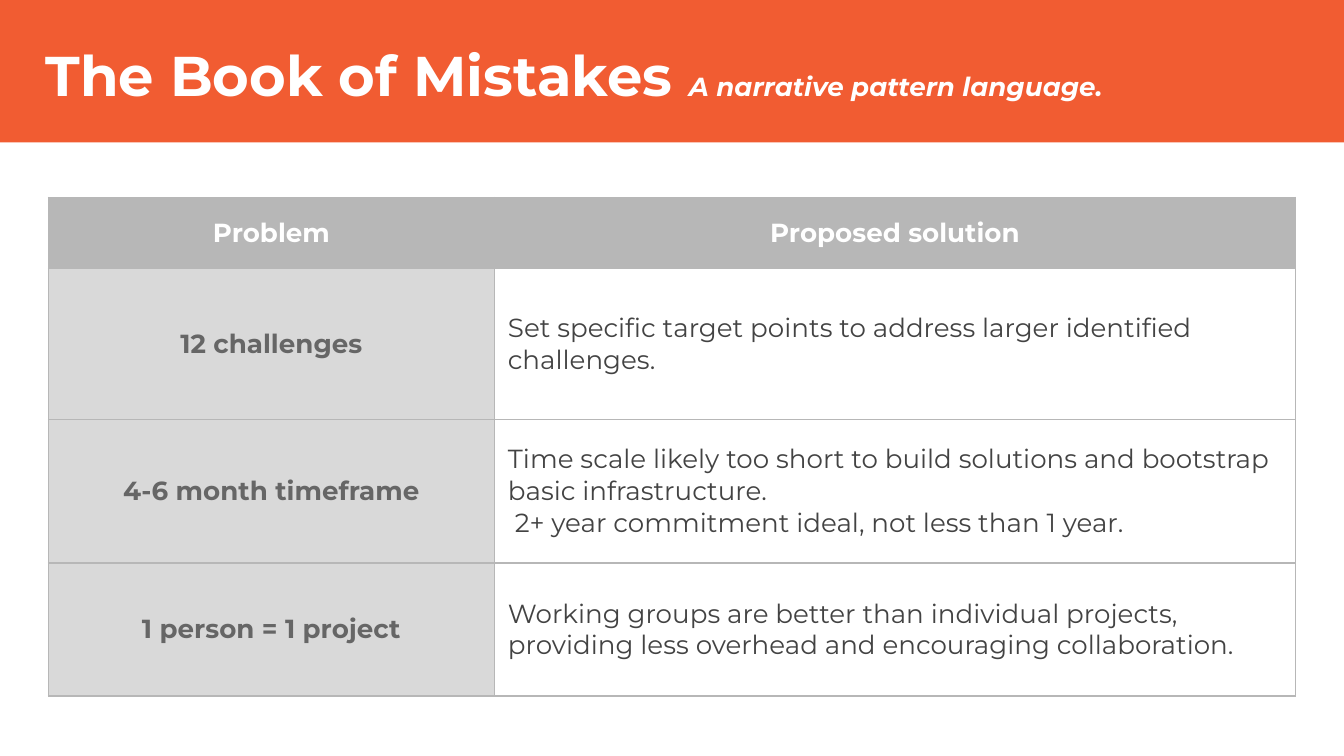
import lxml.etree
import pptx
import pptx.dml.color
import pptx.enum.shapes
import pptx.enum.text
import pptx.oxml.ns
import pptx.util

Inches = pptx.util.Inches
Pt = pptx.util.Pt
ALIGN = pptx.enum.text.PP_ALIGN
ANCHOR = pptx.enum.text.MSO_ANCHOR

SLIDE_WIDTH = 10
SLIDE_HEIGHT = SLIDE_WIDTH * 9 / 16

WHITE = "FFFFFF"
ORANGE = "F15C32"
HEADER_GREY = "B7B7B7"
LABEL_GREY = "D9D9D9"
LABEL_TEXT = "666666"
BODY_TEXT = "434343"

COLUMN_WIDTHS = [3.32, 5.96]
ROW_HEIGHTS = [0.53, 1.12, 1.07, 0.99]
HEADINGS = ["Problem", "Proposed solution"]
# Each solution is a list of lines.
PROBLEMS = [
    ("12 challenges",
     ["Set specific target points to address larger identified challenges."]),
    ("4-6 month timeframe",
     ["Time scale likely too short to build solutions and bootstrap basic infrastructure.",
      " 2+ year commitment ideal, not less than 1 year."]),
    ("1 person = 1 project",
     ["Working groups are better than individual projects, "
      "providing less overhead and encouraging collaboration."]),
]


def rgb(color):
    return pptx.dml.color.RGBColor.from_string(color)


def paint(fill, color):
    fill.solid()
    fill.fore_color.rgb = rgb(color)


class SlideBuilder:
    """Holds the text style and the slide being filled."""

    font = "Montserrat"
    body_size = 14
    inset = Inches(0.1)
    border_width = Pt(0.75)

    def __init__(self, slide):
        self.slide = slide

    def run(self, paragraph, text, color, size=body_size, bold=False, italic=False):
        run = paragraph.add_run()
        run.text = text
        font = run.font
        font.name, font.size = self.font, Pt(size)
        font.bold, font.italic = bold, italic
        font.color.rgb = rgb(color)

    def set_insets(self, target):
        target.margin_left = target.margin_right = self.inset
        target.margin_top = target.margin_bottom = self.inset

    def banner(self, left, top, width, height, color):
        band = self.slide.shapes.add_shape(
            pptx.enum.shapes.MSO_SHAPE.RECTANGLE,
            Inches(left), Inches(top), Inches(width), Inches(height))
        band.shadow.inherit = False
        paint(band.fill, color)
        band.line.fill.background()

    def heading(self, left, top, width, height, title, subtitle):
        frame = self.slide.shapes.add_textbox(
            Inches(left), Inches(top), Inches(width), Inches(height)).text_frame
        frame.word_wrap = True
        frame.vertical_anchor = ANCHOR.BOTTOM
        self.set_insets(frame)
        paragraph = frame.paragraphs[0]
        paragraph.space_before = Pt(6)
        self.run(paragraph, title, WHITE, size=30, bold=True)
        self.run(paragraph, subtitle, WHITE, bold=True, italic=True)

    def table(self, left, top, widths, heights):
        table = self.slide.shapes.add_table(
            len(heights), len(widths), Inches(left), Inches(top),
            Inches(sum(widths)), Inches(sum(heights))).table
        for column, width in zip(table.columns, widths):
            column.width = Inches(width)
        for row, height in zip(table.rows, heights):
            row.height = Inches(height)
        return table

    def border(self, cell, color):
        """Draw all four edges; call before filling, as edges come first in the XML."""
        qn = pptx.oxml.ns.qn
        properties = cell._tc.get_or_add_tcPr()
        for edge in ("a:lnL", "a:lnR", "a:lnT", "a:lnB"):
            line = lxml.etree.SubElement(properties, qn(edge), w=str(self.border_width))
            solid = lxml.etree.SubElement(line, qn("a:solidFill"))
            lxml.etree.SubElement(solid, qn("a:srgbClr"), val=color)

    def cell(self, cell, lines, fill, color, bold=True, align=ALIGN.CENTER):
        self.border(cell, HEADER_GREY)
        paint(cell.fill, fill)
        self.set_insets(cell)
        cell.vertical_anchor = ANCHOR.MIDDLE
        paragraph = cell.text_frame.paragraphs[0]
        paragraph.alignment = align
        for index, line in enumerate(lines):
            if index:
                paragraph.add_line_break()
            self.run(paragraph, line, color, bold=bold)


def main():
    deck = pptx.Presentation()
    deck.slide_width, deck.slide_height = Inches(SLIDE_WIDTH), Inches(SLIDE_HEIGHT)
    builder = SlideBuilder(deck.slides.add_slide(deck.slide_layouts[6]))

    table = builder.table(0.36, 1.47, COLUMN_WIDTHS, ROW_HEIGHTS)
    for column, label in enumerate(HEADINGS):
        builder.cell(table.cell(0, column), [label], HEADER_GREY, WHITE)
    for row, (problem, solution) in enumerate(PROBLEMS, start=1):
        builder.cell(table.cell(row, 0), [problem], LABEL_GREY, LABEL_TEXT)
        builder.cell(table.cell(row, 1), solution, WHITE, BODY_TEXT,
                     bold=False, align=ALIGN.LEFT)

    builder.banner(0, -0.03, SLIDE_WIDTH, 1.09, ORANGE)
    builder.heading(0.24, -0.04, 9, 0.94,
                    "The Book of Mistakes ", "A narrative pattern language.")
    deck.save("out.pptx")


if __name__ == "__main__":
    main()
